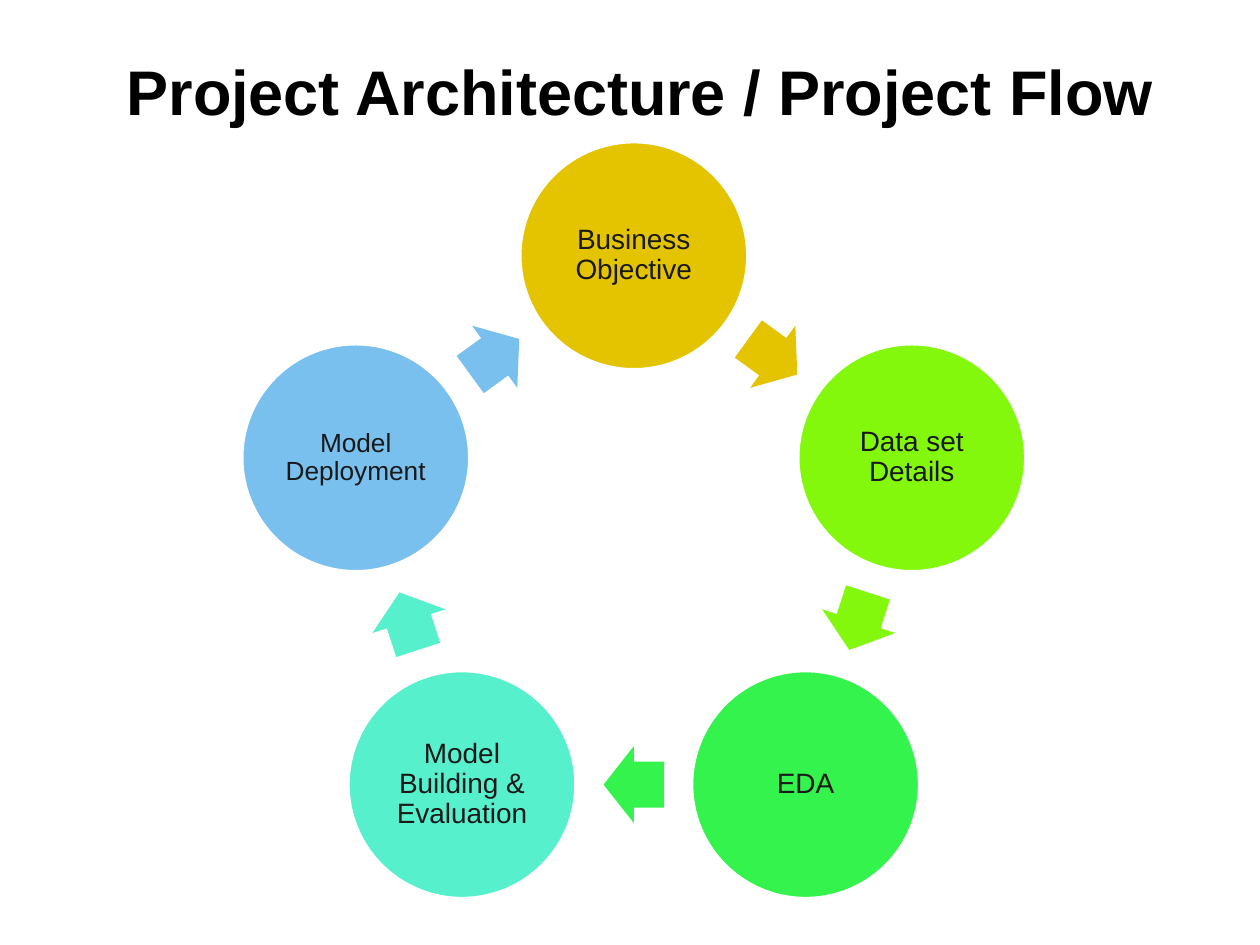
from math import cos, radians, sin

from pptx import Presentation
from pptx.dml.color import RGBColor
from pptx.enum.shapes import MSO_SHAPE
from pptx.enum.text import MSO_ANCHOR, PP_ALIGN
from pptx.util import Inches, Pt

BLACK = RGBColor(0x00, 0x00, 0x00)
WHITE = RGBColor(0xFF, 0xFF, 0xFF)
CHARCOAL = RGBColor(0x19, 0x19, 0x19)
GOLD = RGBColor(0xE4, 0xC4, 0x00)
LIME = RGBColor(0x83, 0xF8, 0x0D)
GREEN = RGBColor(0x33, 0xF3, 0x4C)
TURQUOISE = RGBColor(0x57, 0xF0, 0xCC)
SKY = RGBColor(0x7A, 0xC0, 0xEF)

HEADING = "Project Architecture / Project Flow"
STAGES = [
    ("Business Objective", GOLD, 16),
    ("Data set Details", LIME, 16),
    ("EDA", GREEN, 16),
    ("Model Building & Evaluation", TURQUOISE, 16),
    ("Model Deployment", SKY, 15),
]

FONT = "Arial"
CENTER_X, CENTER_Y, RADIUS = 5.03, 4.35, 2.32
CIRCLE = 1.81
ARROW_WIDTH, ARROW_HEIGHT = 0.48, 0.61
STEP = 360 / len(STAGES)


def point_on_ring(angle, radius):
    return (CENTER_X + radius * sin(radians(angle)),
            CENTER_Y - radius * cos(radians(angle)))


def add_centered(slide, preset, center, width, height, color):
    x, y = center
    shape = slide.shapes.add_shape(
        preset, Inches(x - width / 2), Inches(y - height / 2),
        Inches(width), Inches(height))
    shape.shadow.inherit = False
    shape.fill.solid()
    shape.fill.fore_color.rgb = color
    return shape


def write(frame, text, size, color, inset_x, inset_y, bold=False):
    frame.text = text
    frame.word_wrap = True
    frame.margin_left = frame.margin_right = Inches(inset_x)
    frame.margin_top = frame.margin_bottom = Inches(inset_y)
    paragraph = frame.paragraphs[0]
    paragraph.alignment = PP_ALIGN.CENTER
    font = paragraph.runs[0].font
    font.name, font.size, font.bold = FONT, Pt(size), bold
    font.color.rgb = color
    return paragraph


def add_stage(slide, angle, label, color, size):
    circle = add_centered(slide, MSO_SHAPE.OVAL, point_on_ring(angle, RADIUS),
                          CIRCLE, CIRCLE, color)
    circle.line.color.rgb = WHITE
    circle.line.width = Pt(2)
    circle.text_frame.vertical_anchor = MSO_ANCHOR.MIDDLE
    write(circle.text_frame, label, size, CHARCOAL, 0.02, 0.02).line_spacing = 0.9


def add_flow_arrow(slide, angle, color):
    middle = point_on_ring(angle + STEP / 2, RADIUS * cos(radians(STEP / 2)))
    arrow = add_centered(slide, MSO_SHAPE.RIGHT_ARROW, middle,
                         ARROW_WIDTH, ARROW_HEIGHT, color)
    arrow.line.fill.background()
    arrow.adjustments[0] = 0.6
    arrow.adjustments[1] = 0.5
    arrow.rotation = angle + STEP / 2


def main():
    deck = Presentation()
    deck.slide_width, deck.slide_height = Inches(10), Inches(7.5)
    slide = deck.slides.add_slide(deck.slide_layouts[5])

    title = slide.shapes.title
    title.left, title.top = Inches(0.36), Inches(0.37)
    title.width, title.height = Inches(9.44), Inches(0.71)
    title.text_frame.vertical_anchor = MSO_ANCHOR.TOP
    write(title.text_frame, HEADING, 36, BLACK, 0.1, 0.05, bold=True)

    for index, (label, color, size) in enumerate(STAGES):
        add_stage(slide, index * STEP, label, color, size)
        add_flow_arrow(slide, index * STEP, color)

    deck.save("out.pptx")


if __name__ == "__main__":
    main()
